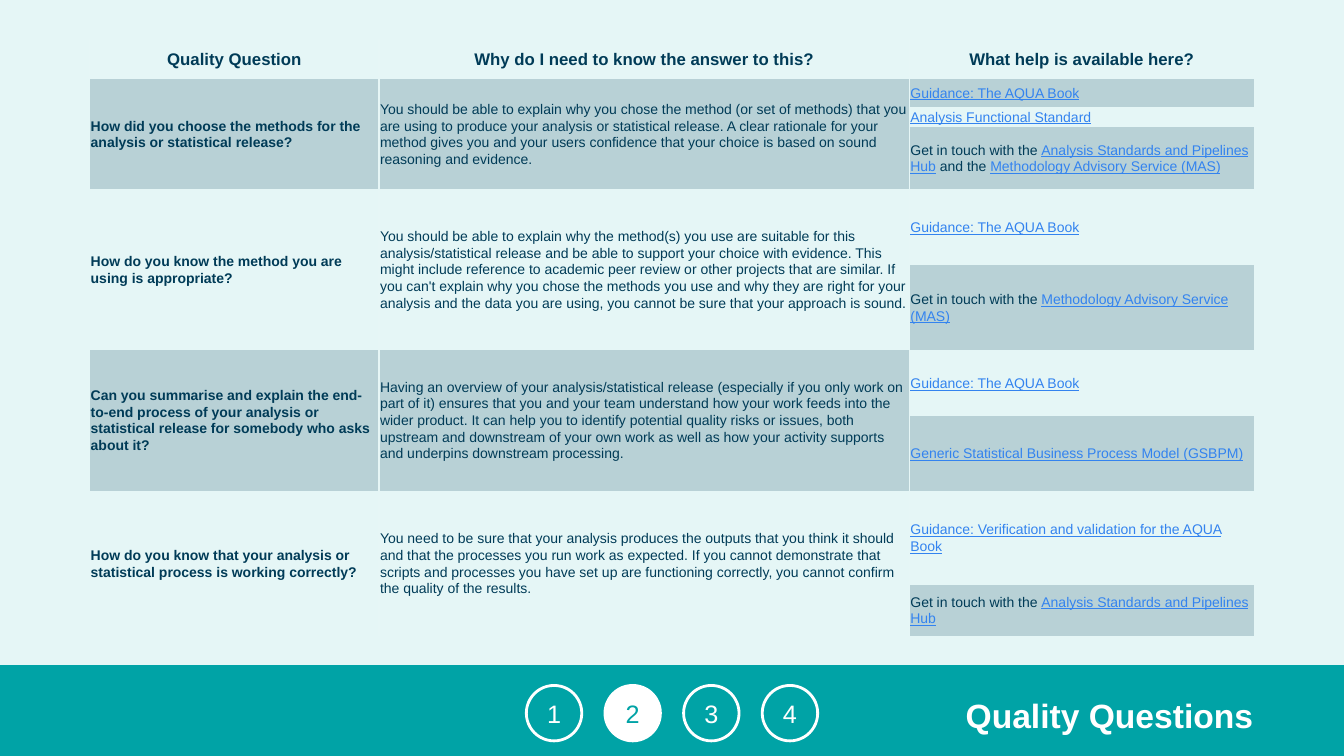
from dataclasses import dataclass
from lxml import etree
from pptx import Presentation
from pptx.dml.color import RGBColor as RGB
from pptx.enum.shapes import MSO_SHAPE as Shape
from pptx.enum.text import MSO_ANCHOR as Anchor, MSO_AUTO_SIZE as Fit, PP_ALIGN as Align
from pptx.oxml import parse_xml
from pptx.oxml.ns import nsdecls, qn
from pptx.util import Inches, Pt


@dataclass(frozen=True)
class Theme:
    font: str = "Arial"
    back: str = "E5F6F6"
    teal: str = "00A3A6"
    navy: str = "003B57"
    shade: str = "B8D1D6"
    link: str = "3383EF"
    rule: str = "E6F6F6"
    white: str = "FFFFFF"
    title: int = 24
    step: int = 18
    head: int = 12
    body: int = 10


LOOK = Theme()
NO_STYLE = "{2D5ABB26-0587-4C30-8999-92F81FD0307C}"
COLS = [2.87, 5.26, 3.42]
ROWS = [0.39, 0.28, 0.2, 0.62, 0.75, 0.84, 0.66, 0.74, 0.93, 0.51]
HEADS = ["Quality Question", "Why do I need to know the answer to this?",
         "What help is available here?"]

# Question, reason and sources of help; bars enclose link text
TOPICS = [
    ("How did you choose the methods for the analysis or statistical release?",
     "You should be able to explain why you chose the method (or set of methods) that you "
     "are using to produce your analysis or statistical release. A clear rationale for your "
     "method gives you and your users confidence that your choice is based on sound "
     "reasoning and evidence.",
     ["|Guidance: The AQUA Book|", "|Analysis Functional Standard|",
      "Get in touch with the |Analysis Standards and Pipelines Hub| and the "
      "|Methodology Advisory Service (MAS)|"]),
    ("How do you know the method you are using is appropriate?",
     "You should be able to explain why the method(s) you use are suitable for this "
     "analysis/statistical release and be able to support your choice with evidence. This "
     "might include reference to academic peer review or other projects that are similar. If "
     "you can't explain why you chose the methods you use and why they are right for your "
     "analysis and the data you are using, you cannot be sure that your approach is sound.",
     ["|Guidance: The AQUA Book|",
      "Get in touch with the |Methodology Advisory Service (MAS)|"]),
    ("Can you summarise and explain the end-to-end process of your analysis or "
     "statistical release for somebody who asks about it?",
     "Having an overview of your analysis/statistical release (especially if you only work on "
     "part of it) ensures that you and your team understand how your work feeds into the "
     "wider product. It can help you to identify potential quality risks or issues, both "
     "upstream and downstream of your own work as well as how your activity supports "
     "and underpins downstream processing.",
     ["|Guidance: The AQUA Book|",
      "|Generic Statistical Business Process Model (GSBPM)|"]),
    ("How do you know that your analysis or statistical process is working correctly?",
     "You need to be sure that your analysis produces the outputs that you think it should "
     "and that the processes you run work as expected. If you cannot demonstrate that "
     "scripts and processes you have set up are functioning correctly, you cannot confirm "
     "the quality of the results.",
     ["|Guidance: Verification and validation for the AQUA Book|",
      "Get in touch with the |Analysis Standards and Pipelines Hub|"]),
]


def style(para, size, color, bold=False, align=Align.LEFT):
    para.alignment = align
    font = para.font
    font.name, font.size, font.bold = LOOK.font, Pt(size), bold
    font.color.rgb = RGB.from_string(color)


def paint(fill, color):
    fill.solid()
    fill.fore_color.rgb = RGB.from_string(color)


def edge(cell, sides):
    """Draw the thin vertical rules beside a cell."""
    props = cell._tc.get_or_add_tcPr()
    for spot, side in enumerate(sides):
        line = parse_xml(f'<a:ln{side} {nsdecls("a")} w="12700"><a:solidFill>'
                         f'<a:srgbClr val="{LOOK.rule}"/></a:solidFill></a:ln{side}>')
        props.insert(spot, line)


def write(cell, text, size=LOOK.body, bold=False, align=Align.LEFT, shade=False):
    cell.margin_left = cell.margin_right = Inches(0.01)
    cell.margin_top = cell.margin_bottom = 0
    cell.vertical_anchor = Anchor.MIDDLE
    if shade:
        paint(cell.fill, LOOK.shade)
    else:
        cell.fill.background()
    para = cell.text_frame.paragraphs[0]
    para.line_spacing, para.space_after = 1.07, Pt(8)
    style(para, size, LOOK.navy, bold, align)
    for i, part in enumerate(text.split("|")):
        if part:
            run = para.add_run()
            run.text = part
            if i % 2:
                run.font.underline = True
                run.font.color.rgb = RGB.from_string(LOOK.link)


def add_grid(slide, left, top):
    frame = slide.shapes.add_table(len(ROWS), len(COLS), Inches(left), Inches(top),
                                   Inches(sum(COLS)), Inches(sum(ROWS)))
    table = frame.table
    table._tbl.tblPr.find(qn("a:tableStyleId")).text = NO_STYLE
    table.horz_banding = False
    for col, width in zip(table.columns, COLS):
        col.width = Inches(width)
    for row, height in zip(table.rows, ROWS):
        row.height = Inches(height)

    # Header row
    for col, text in enumerate(HEADS):
        write(table.cell(0, col), text, LOOK.head, True, Align.CENTER)

    # Topics span their rows of help, which are shaded in turn
    row = 1
    for n, (ask, why, helps) in enumerate(TOPICS):
        last = row + len(helps) - 1
        for col, text in enumerate((ask, why)):
            table.cell(row, col).merge(table.cell(last, col))
            write(table.cell(row, col), text, bold=col == 0, shade=n % 2 == 0)
        for text in helps:
            write(table.cell(row, 2), text, shade=row % 2 == 1)
            row += 1

    # Rules between columns
    for r in range(len(ROWS)):
        edge(table.cell(r, 0), "LR" if r == 0 else "R")
        edge(table.cell(r, 1), "LR")


def add_steps(slide, left, top, size, pitch, count, now):
    for n in range(1, count + 1):
        dot = slide.shapes.add_shape(Shape.OVAL, Inches(left + (n - 1) * pitch), Inches(top),
                                     Inches(size), Inches(size))
        dot.shadow.inherit = False
        back, ink = (LOOK.white, LOOK.teal) if n == now else (LOOK.teal, LOOK.white)
        paint(dot.fill, back)
        paint(dot.line.fill, LOOK.white)
        dot.line.width = Pt(2)
        frame = dot.text_frame
        frame.text = str(n)
        frame.vertical_anchor = Anchor.MIDDLE
        style(frame.paragraphs[0], LOOK.step, ink, align=Align.CENTER)


def add_foot(slide, left, top, width, height):
    # Band, sent behind the title
    band = slide.shapes.add_shape(Shape.RECTANGLE, Inches(left), Inches(top),
                                  Inches(width), Inches(height))
    band.shadow.inherit = False
    paint(band.fill, LOOK.teal)
    band.line.fill.background()
    slide.shapes._spTree.insert(2, band._element)

    # Title
    title = slide.shapes.title
    title.left, title.top = Inches(left + width - 5.1), Inches(top + 0.24)
    title.width, title.height = Inches(4.2), Inches(0.4)
    frame = title.text_frame
    frame.text = "Quality Questions"
    frame.auto_size, frame.vertical_anchor = Fit.NONE, Anchor.TOP
    frame.margin_right = 0
    style(frame.paragraphs[0], LOOK.title, LOOK.white, True, Align.RIGHT)

    add_steps(slide, left + 5.22, top + 0.2, 0.55, 0.78, count=4, now=2)


deck = Presentation()
deck.slide_width, deck.slide_height = Inches(13.33), Inches(7.5)
page = deck.slides.add_slide(deck.slide_layouts[5])
paint(page.background.fill, LOOK.back)
add_grid(page, 0.89, 0.39)
add_foot(page, 0, 6.6, 13.33, 0.9)
deck.save("out.pptx")
